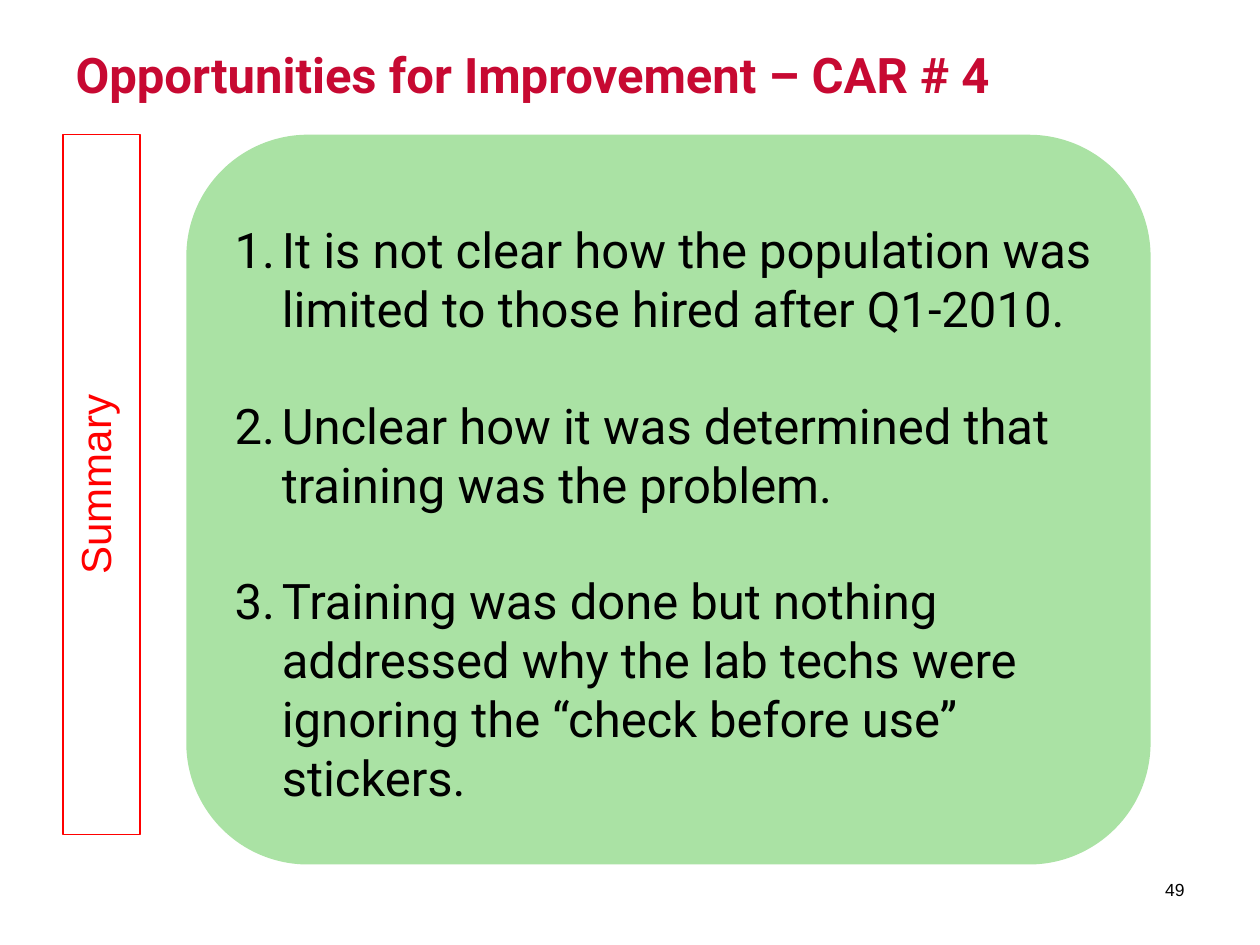
"""Build the summary slide of improvement opportunities for CAR # 4."""
import pptx
import pptx.util
import pptx.dml.color
import pptx.enum.shapes
import pptx.enum.text
import pptx.oxml.ns
import lxml.etree

Pt = pptx.util.Pt
RGB = pptx.dml.color.RGBColor
Shape = pptx.enum.shapes.MSO_SHAPE
Align = pptx.enum.text.PP_ALIGN
Anchor = pptx.enum.text.MSO_ANCHOR
Fit = pptx.enum.text.MSO_AUTO_SIZE
qn = pptx.oxml.ns.qn

CRIMSON = RGB(0xC7, 0x09, 0x32)
GREEN = RGB(0xAA, 0xE2, 0xA4)
RED = RGB(0xFF, 0, 0)
BLACK = RGB(0, 0, 0)

TITLE = "Opportunities for Improvement – CAR # 4"
LABEL = "Summary"
NUMBER = "49"
POINTS = [
    "It is not clear how the population was limited to those hired after Q1-2010.",
    "Unclear how it was determined that training was the problem.",
    "Training was done but nothing addressed why the lab techs were "
    "ignoring the “check before use” stickers.",
]
TOP = 77
PANEL = (106.5, TOP, 551, 417)
INSET = 20.36
INDENT = 27
GAP = 33


def place(item, left, top, width, height):
    item.left, item.top = Pt(left), Pt(top)
    item.width, item.height = Pt(width), Pt(height)


def write(para, text, size, face, color, bold=False):
    run = para.add_run()
    run.text = text
    font = run.font
    font.size, font.name, font.bold = Pt(size), face, bold
    font.color.rgb = color


def setup(item, anchor):
    frame = item.text_frame
    frame.word_wrap = True
    frame.auto_size = Fit.NONE
    frame.vertical_anchor = anchor
    return frame


def number(para):
    props = para._p.get_or_add_pPr()
    props.set("marL", str(Pt(INDENT)))
    props.set("indent", str(-Pt(INDENT)))
    lxml.etree.SubElement(props, qn("a:buFont"), typeface="Roboto")
    lxml.etree.SubElement(props, qn("a:buAutoNum"), type="arabicPeriod")


def main():
    deck = pptx.Presentation()
    deck.slide_width, deck.slide_height = Pt(720), Pt(540)
    slide = deck.slides.add_slide(deck.slide_layouts[1])
    shapes = slide.shapes

    title = shapes.title
    place(title, 36, 21.6, 648, 90)
    para = setup(title, Anchor.TOP).paragraphs[0]
    para.alignment = Align.LEFT
    write(para, TITLE, 28, "Roboto", CRIMSON, True)

    panel = shapes.add_shape(Shape.FLOWCHART_ALTERNATE_PROCESS, *map(Pt, PANEL))
    panel.shadow.inherit = False
    panel.fill.solid()
    panel.fill.fore_color.rgb = GREEN
    panel.line.fill.background()
    title._element.addprevious(panel._element)

    body = slide.placeholders[1]
    left, top, width, height = PANEL
    place(body, left + INSET, top + 45, width - 2 * INSET, height - 65)
    frame = setup(body, Anchor.TOP)
    for index, text in enumerate(POINTS):
        para = frame.add_paragraph() if index else frame.paragraphs[0]
        number(para)
        para.space_before = Pt(GAP if index else 0)
        para.line_spacing = 1.0
        para.font.size = Pt(28)
        write(para, text, 28, "Roboto", BLACK)

    label = shapes.add_shape(Shape.RECTANGLE, Pt(36), Pt(TOP), Pt(44), Pt(400))
    label.shadow.inherit = False
    label.fill.background()
    label.line.color.rgb = RED
    label.line.width = Pt(0.75)
    frame = setup(label, Anchor.TOP)
    frame._txBody.bodyPr.set("vert", "vert270")
    para = frame.paragraphs[0]
    para.alignment = Align.CENTER
    write(para, LABEL, 24, "Arial", RED)

    page = shapes.add_textbox(Pt(633.6), Pt(494), Pt(50.4), Pt(29))
    para = setup(page, Anchor.MIDDLE).paragraphs[0]
    para.alignment = Align.RIGHT
    write(para, NUMBER, 10, "Arial", BLACK)

    deck.save("out.pptx")


if __name__ == "__main__":
    main()
